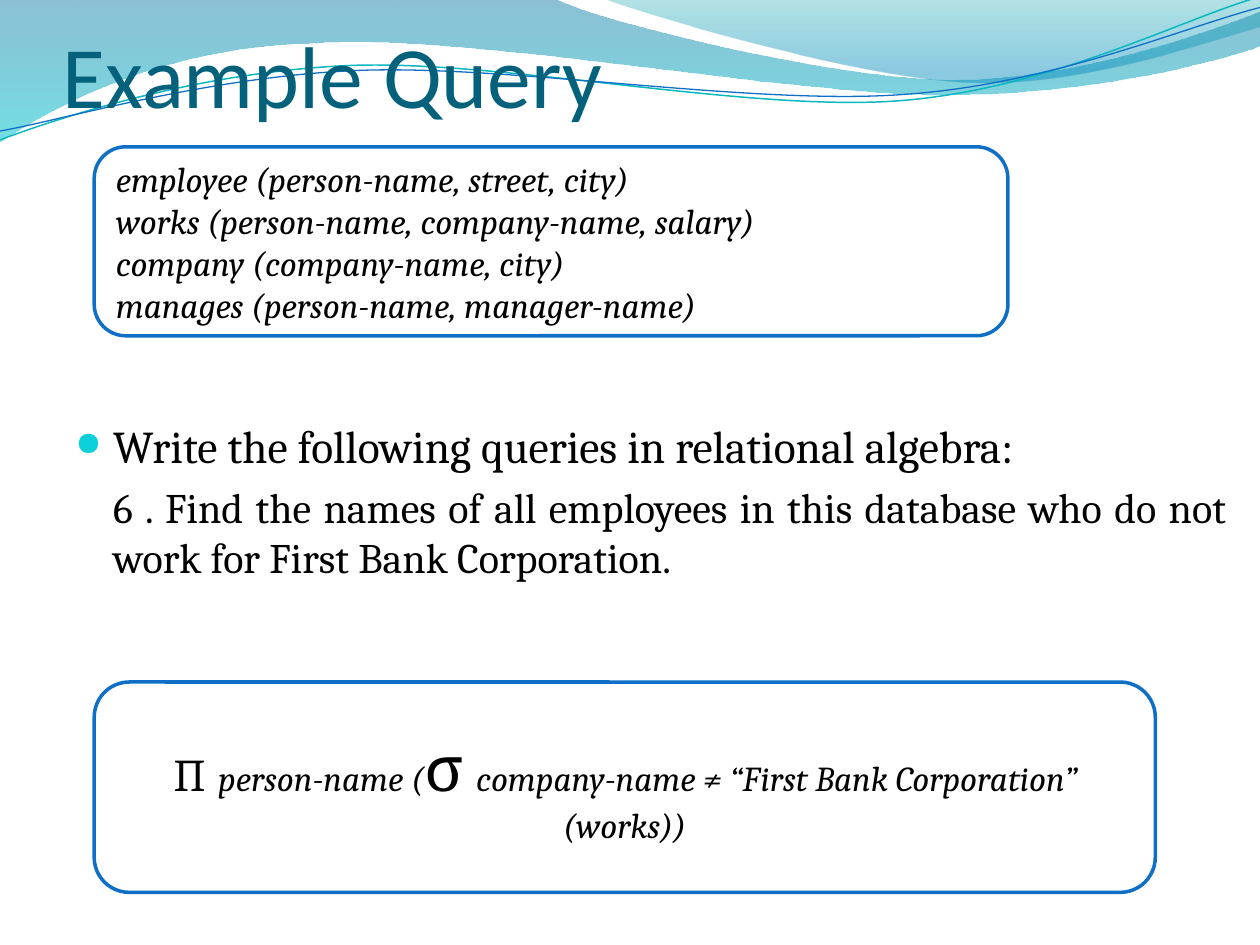
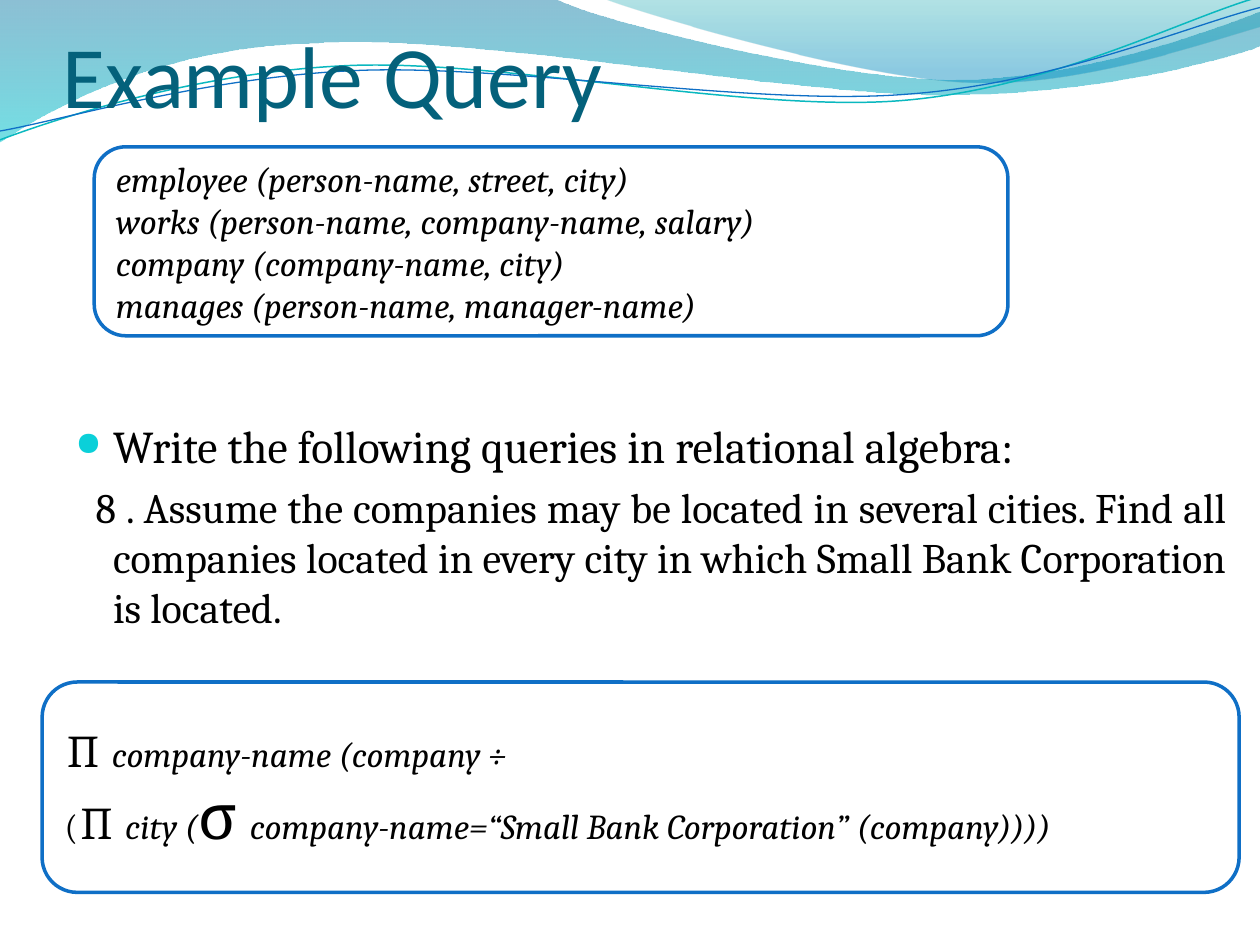
from dataclasses import dataclass
from math import cos, radians, sin
from typing import NamedTuple

from lxml.etree import SubElement
from pptx import Presentation
from pptx.dml.color import RGBColor
from pptx.enum.shapes import MSO_SHAPE as Preset
from pptx.enum.text import MSO_ANCHOR as Anchor, PP_ALIGN as Align
from pptx.oxml.ns import qn
from pptx.util import Cm, Pt

WHITE, BLACK = "FFFFFF", "000000"
BLUE, TEAL, TITLE_TEAL, BULLET_CYAN = "0F6FC6", "0AB8BF", "04617B", "0BD0D9"
TITLE_FONT, TEXT_FONT = "Calibri", "Cambria"
WAVE_UNIT = Cm(2.54)
WAVE_TILT = 357.3
HANGING = Cm(0.76)
ANSWER_TOP, ANSWER_HEIGHT = 13.75, 4.24

Point = tuple[float, float]


class Stop(NamedTuple):
    position: float
    color: str
    alpha: int


class Box(NamedTuple):
    left: float
    top: float
    width: float
    height: float

    def lengths(self) -> list[Cm]:
        return [Cm(value) for value in self]


class Words(NamedTuple):
    text: str
    size: float = 20
    italic: bool = True
    font: str = TEXT_FONT
    color: str = BLACK


@dataclass(frozen=True)
class Wave:
    """An outline whose segments hold one point (line) or three (Bézier curve)."""
    start: Point
    segments: list[tuple[Point, ...]]
    stops: tuple[Stop, ...] = ()
    line_color: str = ""
    line_width: float = 0
    center: Point = (0, 0)
    tilt: float = 0


@dataclass(frozen=True)
class Query:
    task: str
    task_indent: float
    answer_box: Box
    answer: list[list[Words]]
    answer_align: Align


WAVES = [
    Wave((0, 0), [
        ((4.4, -0.01),),
        ((4.76, 0.17), (6.64, 0.63), (7.58, 0.63)),
        ((8.53, 0.63), (9.58, 0.26), (10, 0.09)),
        ((10.01, 0.36),),
        ((9.83, 0.44), (8.7, 0.76), (7.46, 0.75)),
        ((6.22, 0.75), (3.82, 0.28), (2.57, 0.34)),
        ((1.29, 0.36), (0.46, 0.83), (-0.01, 1.13)),
        ((0, 0),),
    ], stops=(Stop(0, "0074A1", 45), Stop(1, "00C6CF", 55))),
    Wave((4.79, -0.01), [
        ((5.09, 0.11), (6.82, 0.62), (7.69, 0.65)),
        ((8.56, 0.69), (9.61, 0.32), (10, 0.21)),
        ((10, 0),),
        ((4.79, -0.01),),
    ], stops=(Stop(0, "00A1A9", 30), Stop(0.8, "008BBF", 45))),
    Wave((0, 1.11), [
        ((0.48, 0.93), (1.58, 0.57), (2.77, 0.52)),
        ((3.95, 0.47), (5.93, 0.89), (7.13, 0.8)),
        ((8.33, 0.71), (9.38, 0.15), (9.98, -0.02)),
    ], line_color=TEAL, line_width=0.85, center=(4.99, 0.58), tilt=WAVE_TILT),
    Wave((0, 1.04), [
        ((0.47, 0.96), (1.64, 0.61), (2.83, 0.56)),
        ((4.03, 0.51), (5.97, 0.84), (7.17, 0.75)),
        ((8.36, 0.67), (9.41, 0.21), (10, 0.06)),
    ], line_color=BLUE, line_width=0.75, center=(5, 0.59), tilt=WAVE_TILT),
]

TITLE_BOX = Box(1.27, -0.64, 22.86, 3.18)
TASK_BOX = Box(1.27, 3.18, 23.7, 15.87)
SCHEMA_BOX = Box(1.9, 2.96, 18.42, 3.81)
SCHEMA = [[Words(relation)] for relation in (
    "employee (person-name, street, city)",
    "works (person-name, company-name, salary)",
    "company (company-name, city)",
    "manages (person-name, manager-name)",
)]
PROJECT = Words("∏ ", 26, False)
SELECT = Words("σ ", 36, False)

QUERIES = [
    Query(
        "6 . Find the names of all employees in this database who do not work "
        "for First Bank Corporation.",
        0,
        Box(1.9, ANSWER_TOP, 21.39, ANSWER_HEIGHT),
        [[PROJECT, Words("person-name ("), SELECT,
          Words("company-name ≠ “First Bank Corporation” (works))")]],
        Align.CENTER,
    ),
    Query(
        "8 . Assume the companies may be located in several cities. Find all "
        "companies located in every city in which Small Bank Corporation is located.",
        -0.35,
        Box(0.85, ANSWER_TOP, 24.13, ANSWER_HEIGHT),
        [[PROJECT, Words("company-name (company ÷")],
         [Words("(", italic=False), PROJECT, Words("city ("), SELECT,
          Words("company-name=“Small Bank Corporation” (company))))")]],
        Align.LEFT,
    ),
]


def rgb(color: str) -> RGBColor:
    return RGBColor.from_string(color)


def place(point: Point, wave: Wave) -> Point:
    """Undo the tilt, which the finished shape's rotation puts back."""
    angle = radians(-wave.tilt)
    x, y = point[0] - wave.center[0], point[1] - wave.center[1]
    return ((wave.center[0] + x * cos(angle) - y * sin(angle)) * WAVE_UNIT,
            (wave.center[1] + x * sin(angle) + y * cos(angle)) * WAVE_UNIT)


def bend(shape, wave: Wave) -> None:
    """Join the lines through each curve's three points into one Bézier curve."""
    lines = iter(list(shape._element.iter(qn("a:lnTo"))))
    for segment in wave.segments:
        first, *others = [next(lines) for _ in segment]
        if others:
            first.tag = qn("a:cubicBezTo")
            for line in others:
                first.append(line[0])
                line.getparent().remove(line)


def fill_gradient(shape, stops: tuple[Stop, ...]) -> None:
    """Fill from top to bottom with partly transparent colours."""
    shape.fill.gradient()
    shape.fill.gradient_angle = 270
    for target, stop in zip(shape.fill.gradient_stops, stops):
        target.position = stop.position
        target.color.rgb = rgb(stop.color)
    colors = shape._element.spPr.iter(qn("a:srgbClr"))
    for color, stop in zip(list(colors), stops):
        SubElement(color, qn("a:alpha"), val=str(stop.alpha * 1000))


def draw_wave(slide, wave: Wave) -> None:
    builder = slide.shapes.build_freeform(*place(wave.start, wave))
    builder.add_line_segments(
        [place(point, wave) for segment in wave.segments for point in segment],
        close=bool(wave.stops))
    shape = builder.convert_to_shape()
    bend(shape, wave)
    shape.rotation = wave.tilt
    shape.shadow.inherit = False
    if wave.stops:
        fill_gradient(shape, wave.stops)
        shape.line.fill.background()
    else:
        shape.fill.background()
        shape.line.color.rgb = rgb(wave.line_color)
        shape.line.width = Pt(wave.line_width)


def write(paragraph, line: list[Words], align: Align = Align.LEFT) -> None:
    paragraph.alignment = align
    for words in line:
        run = paragraph.add_run()
        run.text = words.text
        font = run.font
        font.size, font.italic, font.name = Pt(words.size), words.italic, words.font
        font.color.rgb = rgb(words.color)


def add_text_frame(slide, box: Box):
    frame = slide.shapes.add_textbox(*box.lengths()).text_frame
    frame.word_wrap = True
    return frame


def add_title(slide) -> None:
    frame = add_text_frame(slide, TITLE_BOX)
    frame.vertical_anchor = Anchor.BOTTOM
    frame.margin_left = frame.margin_right = frame.margin_bottom = 0
    write(frame.paragraphs[0],
          [Words("Example Query", 50, False, TITLE_FONT, TITLE_TEAL)])


def indent(paragraph, first_line: int):
    properties = paragraph._p.get_or_add_pPr()
    properties.set("marL", str(HANGING))
    properties.set("indent", str(first_line))
    return properties


def add_task(slide, query: Query) -> None:
    frame = add_text_frame(slide, TASK_BOX)
    frame.margin_top = Cm(5.25)
    lead = frame.paragraphs[0]
    write(lead, [Words("Write the following queries in relational algebra:", 26, False)],
          Align.JUSTIFY)
    properties = indent(lead, -HANGING)
    bullet_color = SubElement(properties, qn("a:buClr"))
    SubElement(bullet_color, qn("a:srgbClr"), val=BULLET_CYAN)
    SubElement(properties, qn("a:buSzPct"), val="73000")
    SubElement(properties, qn("a:buChar"), char="●")
    task = frame.add_paragraph()
    task.space_before = Pt(4.8)
    write(task, [Words(query.task, 24, False)], Align.JUSTIFY)
    indent(task, Cm(query.task_indent))


def add_panel(slide, box: Box, lines: list[list[Words]], align: Align = Align.LEFT) -> None:
    panel = slide.shapes.add_shape(Preset.ROUNDED_RECTANGLE, *box.lengths())
    panel.shadow.inherit = False
    panel.fill.solid()
    panel.fill.fore_color.rgb = rgb(WHITE)
    panel.line.color.rgb = rgb(BLUE)
    panel.line.width = Pt(2)
    frame = panel.text_frame
    frame.word_wrap = True
    frame.vertical_anchor = Anchor.MIDDLE
    for i, line in enumerate(lines):
        write(frame.add_paragraph() if i else frame.paragraphs[0], line, align)


def main() -> None:
    deck = Presentation()
    deck.slide_width, deck.slide_height = Cm(25.4), Cm(19.05)
    for query in QUERIES:
        slide = deck.slides.add_slide(deck.slide_layouts[6])
        for wave in WAVES:
            draw_wave(slide, wave)
        add_title(slide)
        add_task(slide, query)
        add_panel(slide, SCHEMA_BOX, SCHEMA)
        add_panel(slide, query.answer_box, query.answer, query.answer_align)
    deck.save("out.pptx")


if __name__ == "__main__":
    main()
